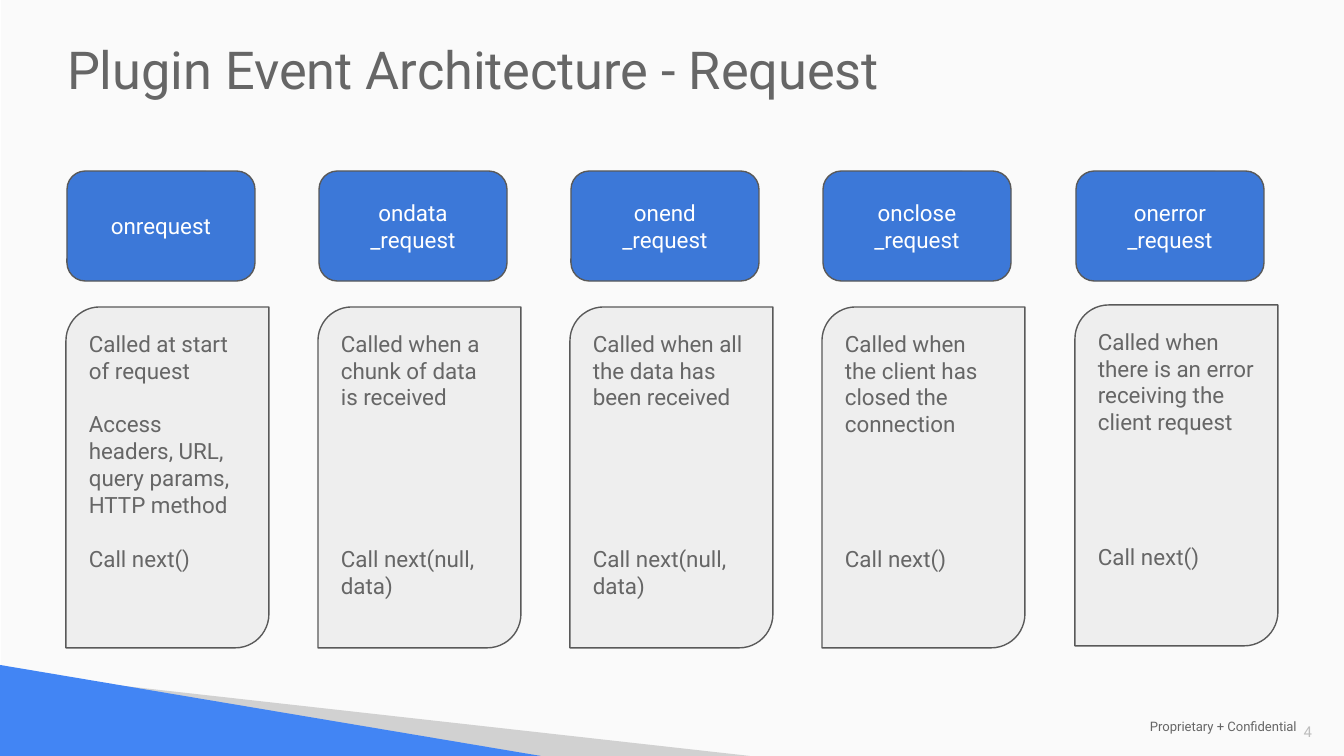
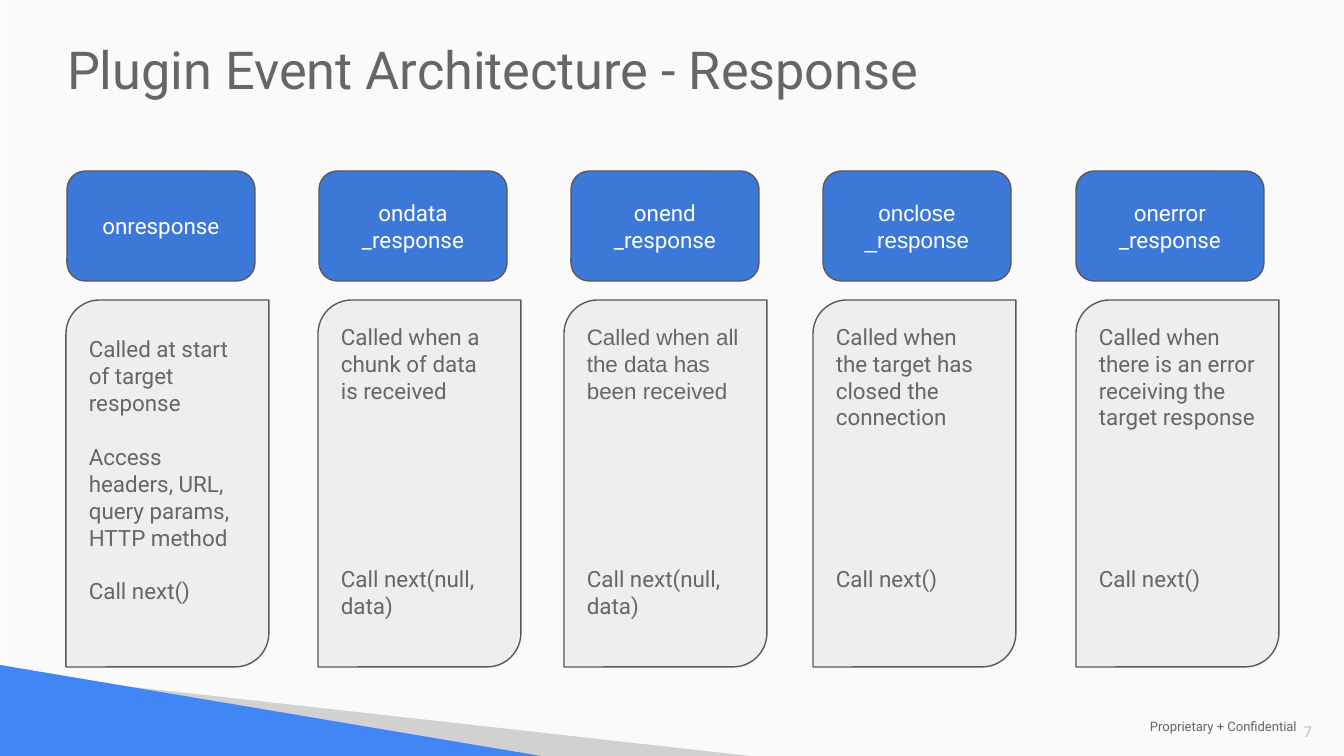
from pptx import Presentation
from pptx import util as u
from pptx.dml.color import RGBColor
from pptx.enum import shapes, text

PX = 914400 / 134.4
WIDTH, HEIGHT = 1344, 756
COLORS = {
    "page": "FFFFFF", "panel": "FAFAFA", "band": "4285F4", "band_shade": "D1D1D1",
    "text": "666666", "number": "BDBDBD", "event": "3C78D8", "card": "EEEEEE",
    "outline": "595959", "white": "FFFFFF",
}
FONT, ALT_FONT = "Roboto", "Arial"
INSET = 13
BODY_SIZE = 12
BODY_LINE = 14.4  # points
EVENT_TOP, EVENT_W, EVENT_H = 171, 188, 110
CARD_W = 203
EVENT_LEFTS = [67 + 1009 * i // 4 for i in range(5)]


def emu(px):
    return u.Emu(round(px * PX))


def color(name):
    return RGBColor.from_string(COLORS[name])


class Deck:
    def __init__(self):
        self.prs = Presentation()
        self.prs.slide_width, self.prs.slide_height = emu(WIDTH), emu(HEIGHT)
        self.slide = None

    def new_slide(self, title, number):
        self.slide = self.prs.slides.add_slide(self.prs.slide_layouts[5])
        fill = self.slide.background.fill
        fill.solid()
        fill.fore_color.rgb = color("page")
        self.shape(shapes.MSO_SHAPE.RECTANGLE, (1, 0, WIDTH, HEIGHT), "panel")
        self.polygon([(115, 685), (750, HEIGHT), (539, HEIGHT)], "band_shade")
        self.polygon([(0, 665), (0, HEIGHT), (541, HEIGHT)], "band")
        self.label("Proprietary + Confidential", (1137, 717, 200, 19), 7, "text")
        self.label(number, (1254, 712, 67, 40), 8, "number",
                   align=text.PP_ALIGN.RIGHT, insets=(9, 5, 9, 5))
        self.title(title)

    def title(self, words):
        sp = self.slide.shapes.title
        sp.element.getparent().append(sp.element)  # above the panel
        self.place(sp, (54, 24, 1193, 110))
        self.set_text(sp, [(words, FONT, 0)], 28, "text", anchor=text.MSO_ANCHOR.TOP)

    def place(self, sp, box):
        sp.left, sp.top, sp.width, sp.height = map(emu, box)

    def paint(self, sp, fill, line=None):
        sp.shadow.inherit = False
        sp.fill.solid()
        sp.fill.fore_color.rgb = color(fill)
        if line:
            sp.line.color.rgb = color(line)
            sp.line.width = u.Pt(0.75)
        else:
            sp.line.fill.background()

    def shape(self, kind, box, fill, line=None):
        sp = self.slide.shapes.add_shape(kind, *map(emu, box))
        self.paint(sp, fill, line)
        return sp

    def polygon(self, points, fill):
        builder = self.slide.shapes.build_freeform(*points[0], scale=PX)
        builder.add_line_segments(points[1:], close=True)
        self.paint(builder.convert_to_shape(), fill)

    def label(self, words, box, size, ink, **style):
        sp = self.slide.shapes.add_textbox(*map(emu, box))
        self.set_text(sp, [(words, FONT, 0)], size, ink, **style)

    def set_text(self, sp, lines, size, ink, align=text.PP_ALIGN.LEFT,
                 anchor=text.MSO_ANCHOR.MIDDLE, insets=(INSET,) * 4):
        """Fill sp with (words, font, points before) paragraphs."""
        tf = sp.text_frame
        tf.word_wrap = True
        tf.auto_size = text.MSO_AUTO_SIZE.NONE
        tf.vertical_anchor = anchor
        tf.margin_left, tf.margin_top, tf.margin_right, tf.margin_bottom = map(emu, insets)
        for i, (words, font, before) in enumerate(lines):
            p = tf.paragraphs[0] if i == 0 else tf.add_paragraph()
            p.alignment = align
            p.space_before = u.Pt(before)
            r = p.add_run()
            r.text = words
            r.font.name, r.font.size = font, u.Pt(size)
            r.font.color.rgb = color(ink)

    def event(self, left, names, font=FONT):
        sp = self.shape(shapes.MSO_SHAPE.ROUNDED_RECTANGLE,
                        (left, EVENT_TOP, EVENT_W, EVENT_H), "event", "outline")
        self.set_text(sp, [(name, font, 0) for name in names], BODY_SIZE, "white",
                      align=text.PP_ALIGN.CENTER)

    def card(self, box, parts, gap, font=FONT, **style):
        """Draw a card whose parts stand gap text lines apart; font is for the first."""
        sp = self.shape(shapes.MSO_SHAPE.ROUND_2_DIAG_RECTANGLE, box, "card", "outline")
        lines = [(words, FONT if i else font, gap * BODY_LINE if i else 0)
                 for i, words in enumerate(parts)]
        self.set_text(sp, lines, BODY_SIZE, "text",
                      **{"anchor": text.MSO_ANCHOR.TOP, **style})


ACCESS = "Access headers, URL, query params, HTTP method"
NEXT, NEXT_DATA = "Call next()", "Call next(null, data)"
STAGES = ["ondata", "onend", "onclose", "onerror"]


def card_parts(start, peer, message):
    return [
        [start, ACCESS, NEXT],
        ["Called when a chunk of data is received", NEXT_DATA],
        ["Called when all the data has been received", NEXT_DATA],
        [f"Called when the {peer} has closed the connection", NEXT],
        [f"Called when there is an error receiving the {message}", NEXT],
    ]


def event_names(phase):
    return [[f"on{phase}"]] + [[stage, f"_{phase}"] for stage in STAGES]


def request_slide(deck):
    deck.new_slide("Plugin Event Architecture - Request", "4")
    for left, names in zip(EVENT_LEFTS, event_names("request")):
        deck.event(left, names)
    parts = card_parts("Called at start of request", "client", "client request")
    tops = [307, 307, 307, 307, 305]
    for left, top, part, gap in zip(EVENT_LEFTS, tops, parts, [1, 5, 5, 4, 4]):
        deck.card((left - 1, top, CARD_W, 341), part, gap)


def response_slide(deck):
    deck.new_slide("Plugin Event Architecture - Response", "7")
    for left, names in zip(EVENT_LEFTS, event_names("response")):
        deck.event(left, names, ALT_FONT if names[0] == "onclose" else FONT)
    parts = card_parts("Called at start of target response", "target", "target response")
    centred = {"anchor": text.MSO_ANCHOR.MIDDLE, "insets": (INSET, INSET, INSET, 40)}
    styles = [centred, {}, {"font": ALT_FONT}, {}, {}]
    lefts = [66, 318, 564, 813, 1076]
    for left, part, gap, style in zip(lefts, parts, [1, 6, 6, 5, 5], styles):
        deck.card((left, 300, CARD_W, 367), part, gap, **style)


def main():
    deck = Deck()
    request_slide(deck)
    response_slide(deck)
    deck.prs.save("out.pptx")


if __name__ == "__main__":
    main()
